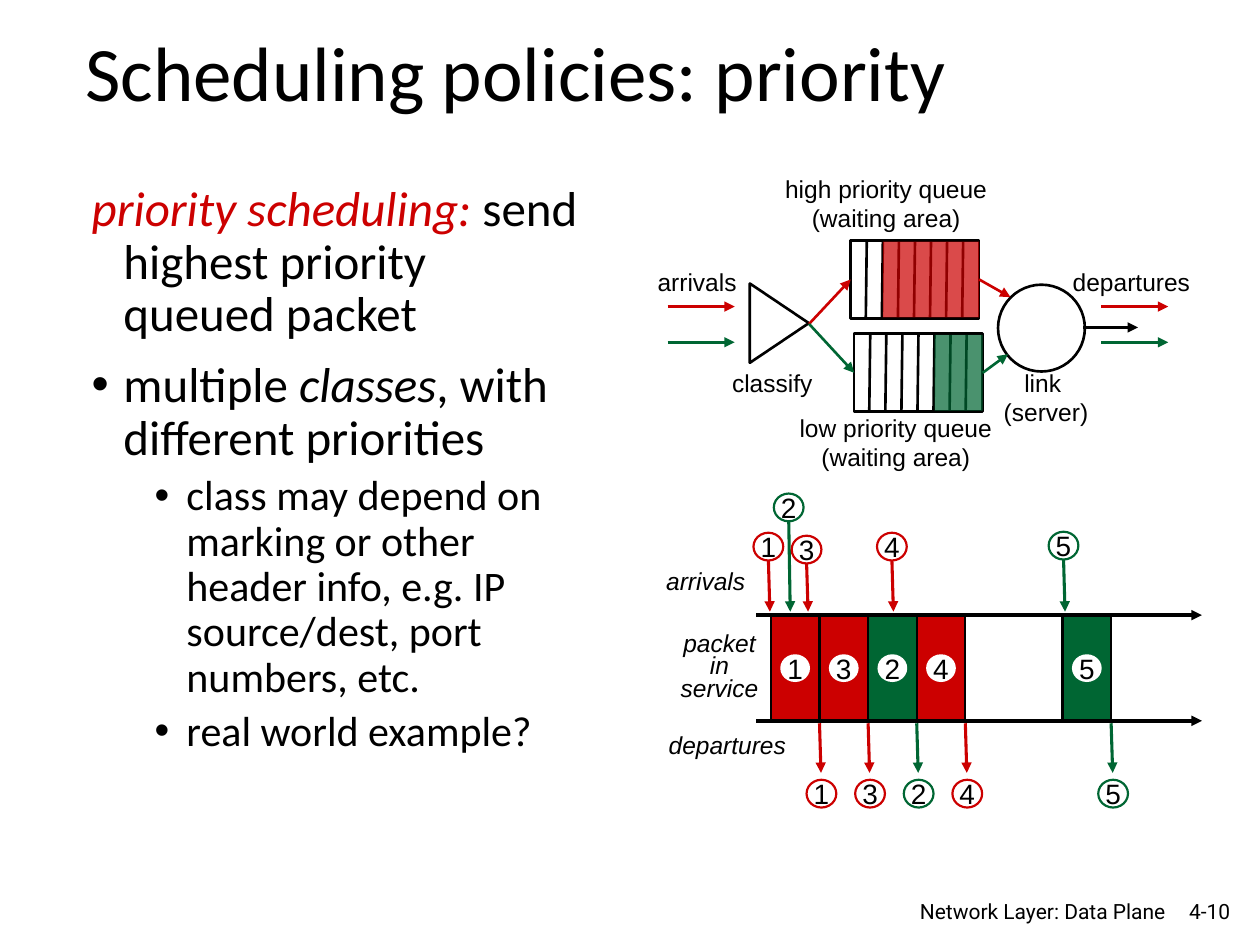
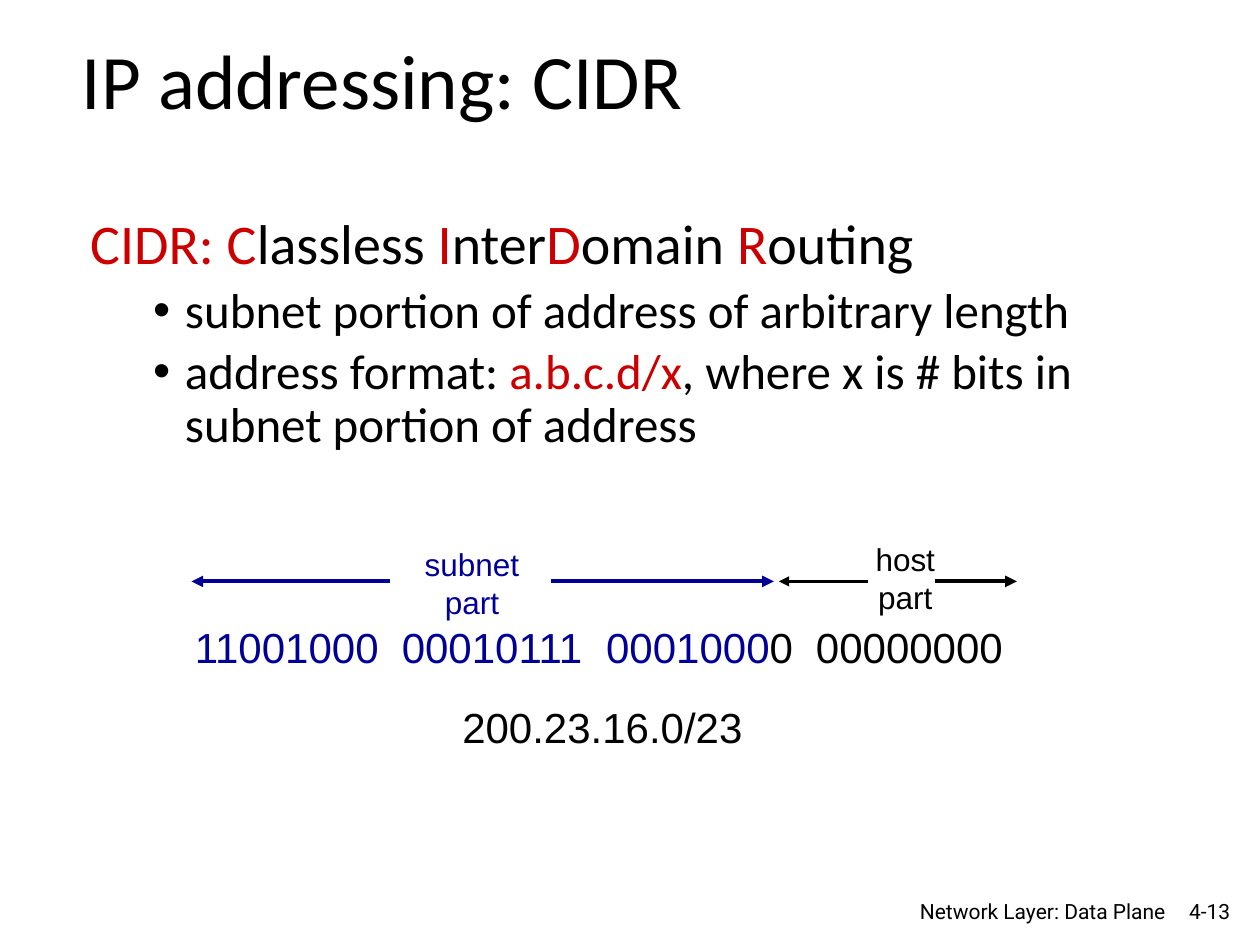
from dataclasses import dataclass

from lxml.etree import SubElement
from pptx import Presentation
from pptx.dml.color import RGBColor
from pptx.enum.shapes import MSO_CONNECTOR as Connector, MSO_SHAPE as Preset
from pptx.enum.text import MSO_ANCHOR as Anchor, PP_ALIGN as Align
from pptx.oxml.ns import qn
from pptx.util import Cm, Pt


@dataclass(frozen=True)
class Theme:
    black: str = "000000"
    white: str = "FFFFFF"
    red: str = "CC0000"
    green: str = "006633"
    blue: str = "000099"
    heading_font: str = "Calibri"
    diagram_font: str = "Arial"
    footer_font: str = "Roboto"
    title_size: int = 44
    lead_size: int = 32
    body_size: int = 28
    detail_size: int = 24
    bits_size: int = 24
    part_size: int = 18
    number_size: int = 16
    label_size: int = 14
    footer_size: int = 12


THEME = Theme()


@dataclass(frozen=True)
class Span:
    """A stretch of text with its own colour or slant."""
    text: str
    color: str = THEME.black
    italic: bool = False


@dataclass(frozen=True)
class Item:
    """One paragraph of the body text."""
    spans: tuple
    size: int
    level: int = 0
    bullet: bool = True


class Deck:
    def __init__(self, theme):
        self.theme = theme
        self.presentation = Presentation()
        self.presentation.slide_width = Cm(25.4)
        self.presentation.slide_height = Cm(19.05)
        self.slide = None

    def new_slide(self, title, title_left, title_top, title_height, number):
        theme = self.theme
        self.slide = self.presentation.slides.add_slide(self.presentation.slide_layouts[6])
        box = self.text(title_left, title_top, 21.59, title_height, [title], theme.title_size,
                        font=theme.heading_font, anchor=Anchor.MIDDLE, wrap=True)
        box.text_frame.paragraphs[0].line_spacing = 0.9
        footer = dict(font=theme.footer_font, align=Align.RIGHT, wrap=True)
        self.text(23.5, 17.98, 1.55, 0.76, [number], theme.footer_size,
                  anchor=Anchor.MIDDLE, **footer)
        self.text(17.7, 17.98, 6.05, 0.66, ["Network Layer: Data Plane"],
                  theme.footer_size, **footer)

    def add_spans(self, paragraph, spans, size, font):
        for span in spans:
            run = paragraph.add_run()
            run.text = span.text
            run.font.size = Pt(size)
            run.font.name = font
            run.font.italic = span.italic
            run.font.color.rgb = RGBColor.from_string(span.color)

    def text(self, left, top, width, height, lines, size, font=THEME.diagram_font,
             color=THEME.black, italic=False, align=Align.LEFT, anchor=Anchor.TOP, wrap=False):
        """Add a text box; each line is a string or a tuple of spans."""
        box = self.slide.shapes.add_textbox(Cm(left), Cm(top), Cm(width), Cm(height))
        frame = box.text_frame
        frame.word_wrap = wrap
        frame.vertical_anchor = anchor
        for index, line in enumerate(lines):
            paragraph = frame.add_paragraph() if index else frame.paragraphs[0]
            paragraph.alignment = align
            spans = (Span(line, color, italic),) if isinstance(line, str) else line
            self.add_spans(paragraph, spans, size, font)
        return box

    def body(self, left, top, width, height, items):
        box = self.text(left, top, width, height, [], self.theme.body_size, wrap=True)
        frame = box.text_frame
        for index, item in enumerate(items):
            paragraph = frame.add_paragraph() if index else frame.paragraphs[0]
            paragraph.level = item.level
            paragraph.line_spacing = 0.9
            paragraph.space_before = Pt(5 if item.level else 10)
            properties = paragraph._p.get_or_add_pPr()
            properties.set("marL", str(Cm(1.91 if item.level else 0.64)))
            properties.set("indent", str(-Cm(0.64)))
            if item.bullet:
                SubElement(properties, qn("a:buFont")).set("typeface", self.theme.diagram_font)
                SubElement(properties, qn("a:buChar")).set("char", "•")
            self.add_spans(paragraph, item.spans, item.size, self.theme.heading_font)

    def shape(self, preset, left, top, width, height, fill=None, line=None, weight=1.5, alpha=None):
        shape = self.slide.shapes.add_shape(preset, Cm(left), Cm(top), Cm(width), Cm(height))
        shape.shadow.inherit = False
        if fill:
            shape.fill.solid()
            shape.fill.fore_color.rgb = RGBColor.from_string(fill)
        else:
            shape.fill.background()
        if alpha:
            color = shape._element.spPr.find(qn("a:solidFill"))[0]
            SubElement(color, qn("a:alpha")).set("val", str(alpha * 1000))
        if line:
            shape.line.color.rgb = RGBColor.from_string(line)
            shape.line.width = Pt(weight)
        else:
            shape.line.fill.background()
        return shape

    def line(self, x1, y1, x2, y2, color=THEME.black, weight=1.5, arrow=True):
        connector = self.slide.shapes.add_connector(
            Connector.STRAIGHT, Cm(x1), Cm(y1), Cm(x2), Cm(y2))
        connector.line.color.rgb = RGBColor.from_string(color)
        connector.line.width = Pt(weight)
        properties = connector._element.spPr
        if arrow:
            SubElement(properties.find(qn("a:ln")), qn("a:tailEnd")).set("type", "triangle")
        SubElement(properties, qn("a:effectLst"))
        return connector

    def label(self, left, top, width, *lines):
        return self.text(left, top, width, 0.86 if len(lines) == 1 else 1.45, lines,
                         self.theme.label_size, align=Align.CENTER)

    def packet_number(self, center_x, top, number, outline=None):
        """Add a white oval that holds the number of a packet."""
        oval = self.shape(Preset.OVAL, center_x - 0.3, top, 0.6, 0.56,
                          self.theme.white, outline, 1.25)
        frame = oval.text_frame
        frame.word_wrap = False
        frame.margin_left = frame.margin_right = frame.margin_top = frame.margin_bottom = 0
        frame.vertical_anchor = Anchor.MIDDLE
        paragraph = frame.paragraphs[0]
        paragraph.alignment = Align.CENTER
        self.add_spans(paragraph, [Span(str(number))], self.theme.number_size,
                       self.theme.diagram_font)

    def queue(self, left, top, color, free_slots):
        """Add a queue of eight slots; those after the free ones are filled."""
        width, height, slots = 2.59, 1.57, 8
        pitch = width / slots
        frame = self.shape(Preset.RECTANGLE, left, top, width, height, line=self.theme.black)
        for slot in range(1, slots):
            x = left + slot * pitch
            self.line(x, top + 0.02, x - 0.02, top + height, arrow=False)
        self.shape(Preset.RECTANGLE, left + free_slots * pitch, top + 0.02,
                   (slots - free_slots) * pitch, height - 0.04, color, alpha=71)
        return frame


def draw_queues(deck):
    theme = deck.theme
    low_queue = deck.queue(17.22, 6.73, theme.green, free_slots=5)
    high_queue = deck.queue(17.15, 4.85, theme.red, free_slots=2)
    classifier = deck.shape(Preset.ISOSCELES_TRIANGLE, 14.91, 5.92, 1.6, 1.19, line=theme.black)
    classifier.rotation = 90
    deck.shape(Preset.OVAL, 20.12, 5.74, 1.75, 1.75, line=theme.black)

    for queue, color, entry, leave, server in (
            (high_queue, theme.red, (17.15, 5.64), (19.74, 5.64), (20.37, 5.99)),
            (low_queue, theme.green, (17.22, 7.52), (19.81, 7.52), (20.32, 7.14))):
        deck.line(16.31, 6.53, *entry, color).end_connect(queue, 1)
        deck.line(*leave, *server, color).begin_connect(queue, 3)
    for x in (13.46, 22.2):
        for y, color in ((6.18, theme.red), (6.9, theme.green)):
            deck.line(x, y, x + 1.35, y, color)
    deck.line(21.84, 6.6, 22.94, 6.6)

    deck.label(15.49, 3.38, 4.75, "high priority queue", "(waiting area)")
    deck.label(15.85, 8.2, 4.42, "low priority queue", "(waiting area)")
    deck.label(13, 5.26, 2.11, "arrivals")
    deck.label(14.48, 7.29, 2.18, "classify")
    deck.label(21.36, 5.26, 2.9, "departures")
    deck.label(19.84, 7.29, 2.36, "link", " (server)")


def draw_timeline(deck):
    theme = deck.theme
    colors = {1: theme.red, 2: theme.green, 3: theme.red, 4: theme.red, 5: theme.green}
    arrivals = ((2, 15.9, 9.95), (1, 15.49, 10.74), (3, 16.26, 10.8),
                (4, 17.98, 10.74), (5, 21.44, 10.72))
    service_slots = {1: 0, 3: 1, 2: 2, 4: 3, 5: 6}
    start, pitch = 15.54, 0.98

    for y in (12.4, 14.53):
        deck.line(15.25, y, 24.23, y, weight=2)
    for number, x, top in arrivals:
        deck.line(x, top + 0.56, x + 0.03, 12.33, colors[number], 1.75)
        deck.packet_number(x, top, number, colors[number])
    for number, slot in service_slots.items():
        left = start + slot * pitch
        right = left + pitch
        deck.shape(Preset.RECTANGLE, left, 12.42, pitch, 2.1, colors[number], theme.black, 1.25)
        deck.packet_number(left + pitch / 2, 13.19, number)
        deck.line(right, 14.58, right + 0.03, 15.58, colors[number], 1.75)
        deck.packet_number(right + 0.04, 15.72, number, colors[number])

    deck.text(13.18, 11.28, 2.24, 0.86, ["arrivals"], theme.label_size, italic=True)
    deck.text(13.23, 14.6, 3.02, 0.86, ["departures"], theme.label_size, italic=True)
    service = deck.text(13.31, 12.67, 2.39, 1.65, ["packet in service"], theme.label_size,
                        italic=True, align=Align.CENTER, wrap=True)
    service.text_frame.paragraphs[0].line_spacing = Pt(12.8)


def build_priority_slide(deck):
    theme = deck.theme
    deck.new_slide("Scheduling policies: priority", 1.47, -0.05, 3.18, "4-10")
    deck.body(1.6, 3.58, 10.29, 14.17, [
        Item((Span("priority scheduling: ", theme.red, True),
              Span("send highest priority queued packet")), theme.body_size, bullet=False),
        Item((Span("multiple "), Span("classes", italic=True),
              Span(", with different priorities")), theme.body_size),
        Item((Span("class may depend on marking or other header info, e.g. IP source/dest, "
                   "port numbers, etc."),), theme.detail_size, 1),
        Item((Span("real world example?"),), theme.detail_size, 1),
    ])
    draw_queues(deck)
    draw_timeline(deck)


def build_cidr_slide(deck):
    theme = deck.theme
    deck.new_slide("IP addressing: CIDR", 1.4, 0.53, 2.36, "4-13")
    deck.body(1.57, 4.24, 22.53, 8.81, [
        Item((Span("CIDR: C", theme.red), Span("lassless "), Span("I", theme.red), Span("nter"),
              Span("D", theme.red), Span("omain "), Span("R", theme.red), Span("outing")),
             theme.lead_size, bullet=False),
        Item((Span("subnet portion of address of arbitrary length"),), theme.body_size, 1),
        Item((Span("address format: "), Span("a.b.c.d/x", theme.red),
              Span(", where x is # bits in subnet portion of address")), theme.body_size, 1),
    ])

    bits = (Span("11001000\t00010111\t0001000", theme.blue), Span("0\t00000000"))
    octets = deck.text(3.68, 12.4, 17.5, 1.27, [bits], theme.bits_size, wrap=True)
    properties = octets.text_frame.paragraphs[0]._p.get_or_add_pPr()
    tab_stops = SubElement(properties, qn("a:tabLst"))
    for position in (4.17, 8.29, 12.52):
        SubElement(tab_stops, qn("a:tab"), pos=str(Cm(position)), algn="l")
    deck.text(9.07, 14.02, 6.17, 1.27, ["200.23.16.0/23"], theme.bits_size)

    for left, top, width, name, color in ((8.31, 10.87, 2.41, "subnet", theme.blue),
                                          (17.4, 10.77, 1.7, "host", theme.black)):
        deck.text(left, top, width, 1.78, [name, "part"], theme.part_size,
                  color=color, align=Align.CENTER)
    for x1, x2, color, weight in ((7.87, 3.86, theme.blue, 2.25), (11.1, 15.6, theme.blue, 2.25),
                                  (17.5, 15.7, theme.black, 1.5), (18.85, 20.5, theme.black, 2.25)):
        deck.line(x1, 11.72, x2, 11.72, color, weight)


def main():
    deck = Deck(THEME)
    build_priority_slide(deck)
    build_cidr_slide(deck)
    deck.presentation.save("out.pptx")


if __name__ == "__main__":
    main()
